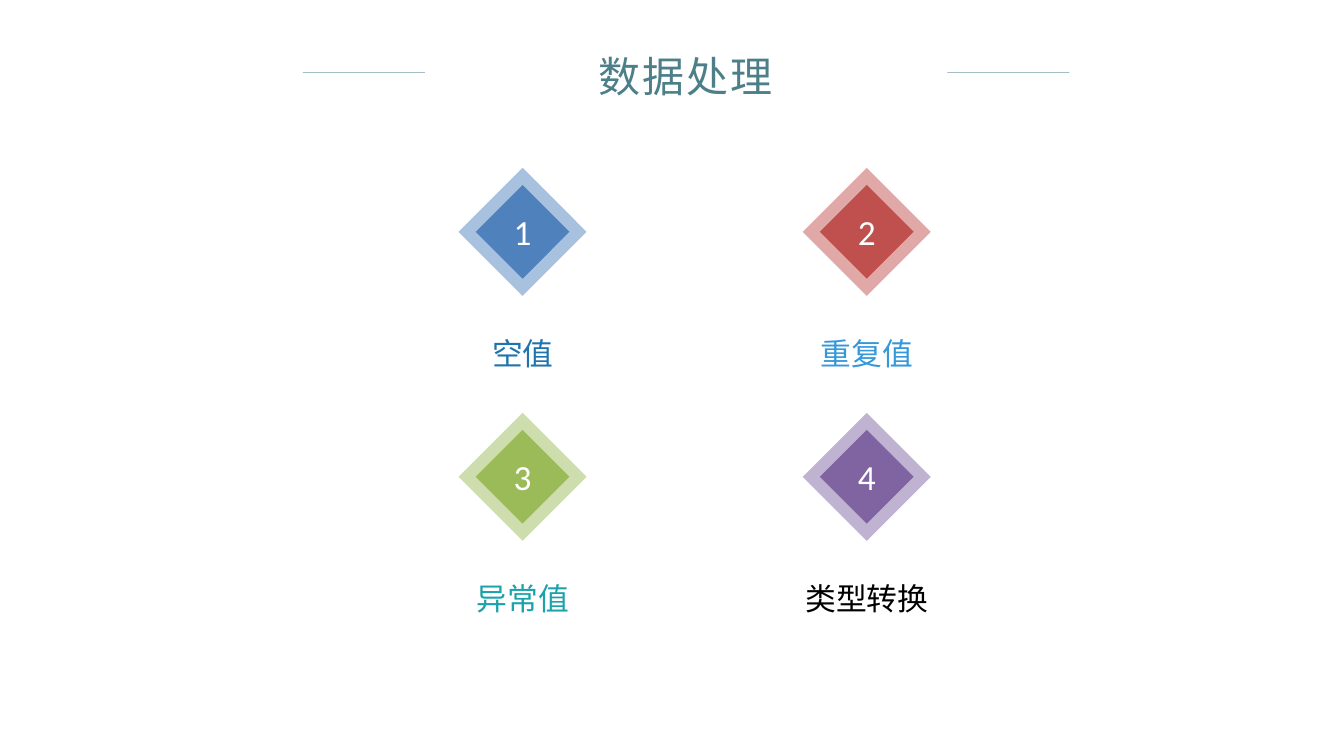
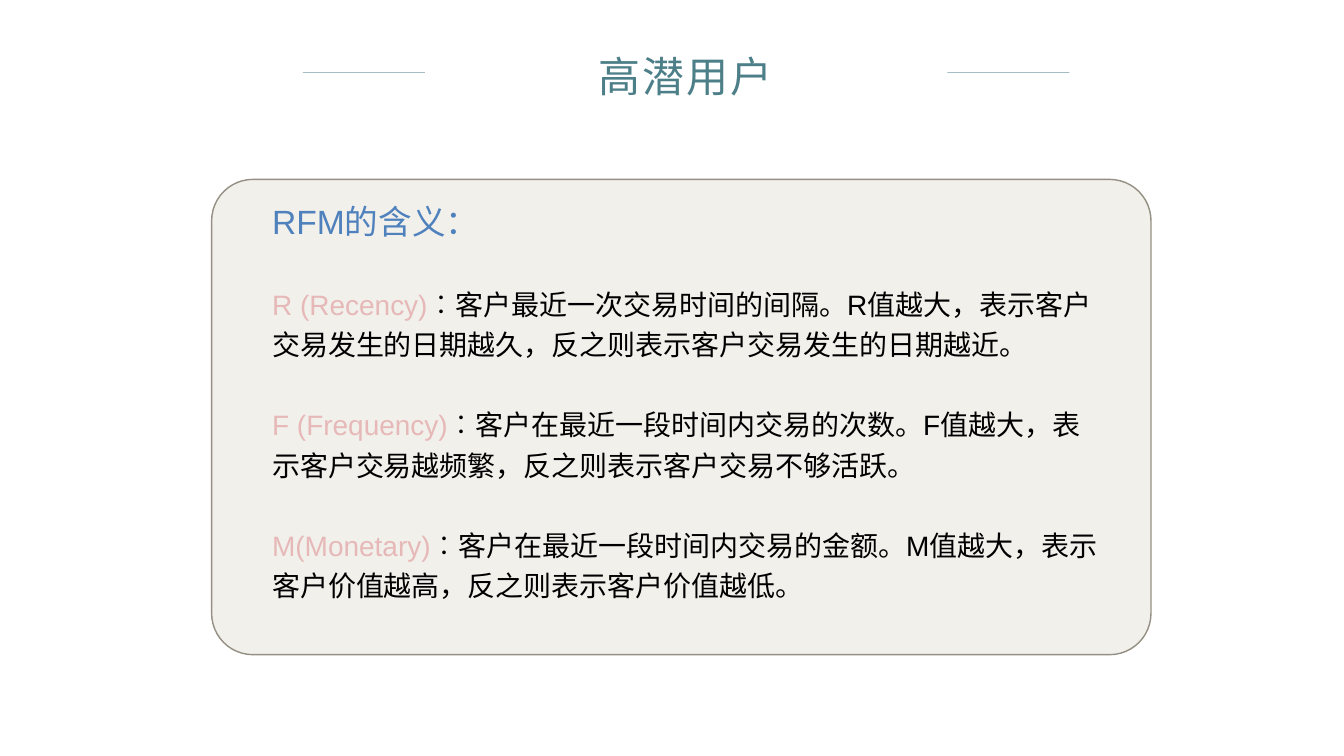
from lxml import etree
from pptx import Presentation
from pptx.dml.color import RGBColor
from pptx.enum.shapes import MSO_CONNECTOR, MSO_SHAPE
from pptx.enum.text import MSO_ANCHOR, MSO_AUTO_SIZE, PP_ALIGN
from pptx.oxml.ns import qn
from pptx.util import Inches, Pt

STRAIGHT = MSO_CONNECTOR.STRAIGHT
DIAMOND, ROUNDED = MSO_SHAPE.DIAMOND, MSO_SHAPE.ROUNDED_RECTANGLE
CENTER = PP_ALIGN.CENTER
TOP, MIDDLE = MSO_ANCHOR.TOP, MSO_ANCHOR.MIDDLE
GROW = MSO_AUTO_SIZE.SHAPE_TO_FIT_TEXT

THEME = {
    "title": "4D7F89", "title_end": "A2633C", "white": "FFFFFF", "black": "000000",
    "panel": "F1F0EB", "panel_line": "959083",
    "heading": "4F81BD", "term": "E6B9B8", "term_outline": "C0504D",
    "cjk_font": "Noto Sans CJK SC", "latin_font": "Arial", "number_font": "Calibri",
    "title_size": 60, "number_size": 50.4, "label_size": 44,
    "heading_size": 48, "body_size": 40,
}
TITLE_ONLY, TITLE_AND_CONTENT = 5, 1


def rgb(name):
    """Colour from a theme name or a hex value."""
    return RGBColor.from_string(THEME.get(name, name))


def set_font(font, face, size, color=None):
    font.name = THEME[face]
    font.size = Pt(THEME[size])
    if color:
        font.color.rgb = rgb(color)
    etree.SubElement(font._element, qn("a:ea"), typeface=THEME["cjk_font"])


presentation = Presentation()
presentation.slide_width = Inches(26.67)
presentation.slide_height = Inches(15)

# Shared title band
slides = []
for title_text, layout, face in [
    ("数据处理", TITLE_ONLY, "cjk_font"),
    ("高潜用户", TITLE_AND_CONTENT, "latin_font"),
]:
    slide = presentation.slides.add_slide(presentation.slide_layouts[layout])
    slides.append(slide)

    for rule_left in (6.01, 18.8):
        rule = slide.shapes.add_connector(
            STRAIGHT, Inches(rule_left), Inches(1.44), Inches(rule_left + 2.42), Inches(1.44))
        rule.line.width = Pt(1)
        rule.line.color.rgb = rgb("title")
        color = rule._element.find(".//" + qn("a:srgbClr"))
        etree.SubElement(color, qn("a:alpha"), val="50000")
        etree.SubElement(rule._element.spPr, qn("a:effectLst"))

    title = slide.shapes.title
    title.left, title.top = Inches(8.5), Inches(0.95)
    title.width, title.height = Inches(10.22), Inches(1.11)
    frame = title.text_frame
    frame.text = title_text
    frame.word_wrap = True
    frame.auto_size = GROW
    frame.vertical_anchor = MIDDLE
    frame.margin_top = frame.margin_bottom = 0
    paragraph = frame.paragraphs[0]
    paragraph.alignment = CENTER
    set_font(paragraph.font, face, "title_size")
    fill = paragraph.font.fill
    fill.gradient()
    fill.gradient_angle = 0
    for stop, name in zip(fill.gradient_stops, ("title", "title_end")):
        stop.color.rgb = rgb(name)
    paragraph.font._element.set("spc", "300")

processing_slide, users_slide = slides

# Data processing: two by two numbered diamonds with labels
STEPS = [
    ("空值", "4F81BD", "1F74AD"),
    ("重复值", "C0504D", "3498DB"),
    ("异常值", "9BBB59", "1AA3AA"),
    ("类型转换", "8064A2", "black"),
]
OUTER, INNER = 2.54, 1.86
INSET = (OUTER - INNER) / 2

for index, (label_text, diamond_color, label_color) in enumerate(STEPS):
    row, column = divmod(index, 2)
    left = 9.1 + 6.83 * column
    top = 3.33 + 4.86 * row

    for inset, size in ((0, OUTER), (INSET, INNER)):
        diamond = processing_slide.shapes.add_shape(
            DIAMOND, Inches(left + inset), Inches(top + inset), Inches(size), Inches(size))
        diamond.shadow.inherit = False
        diamond.fill.solid()
        diamond.fill.fore_color.rgb = rgb(diamond_color)
        diamond.line.fill.background()
        if size == OUTER:
            color = diamond._element.spPr.find(".//" + qn("a:srgbClr"))
            etree.SubElement(color, qn("a:alpha"), val="49000")

    label = processing_slide.shapes.add_textbox(
        Inches(left - 0.7), Inches(top + 2.72), Inches(3.95), Inches(1.7))
    label.text_frame.word_wrap = True

    for shape, text, face, size, color in [
        (diamond, str(index + 1), "number_font", "number_size", "white"),
        (label, label_text, "cjk_font", "label_size", label_color),
    ]:
        frame = shape.text_frame
        frame.text = text
        frame.vertical_anchor = MIDDLE
        frame.paragraphs[0].alignment = CENTER
        set_font(frame.paragraphs[0].font, face, size, color)

    frame = diamond.text_frame
    frame.margin_left = frame.margin_right = frame.margin_top = frame.margin_bottom = 0
    label.text_frame.paragraphs[0].line_spacing = 1.3

# High-potential users: meaning of RFM on a rounded panel
DEFINITIONS = [
    ("R (Recency)", "︰客户最近一次交易时间的间隔。R值越大，表示客户交易发生的日期越久，反之则表示客户交易发生的日期越近。"),
    ("F (Frequency)", "︰客户在最近一段时间内交易的次数。F值越大，表示客户交易越频繁，反之则表示客户交易不够活跃。"),
    ("M(Monetary)", "︰客户在最近一段时间内交易的金额。M值越大，表示客户价值越高，反之则表示客户价值越低。"),
]

panel = users_slide.shapes.add_shape(
    ROUNDED, Inches(4.2), Inches(3.56), Inches(18.64), Inches(9.43))
panel.adjustments[0] = 0.087
panel.shadow.inherit = False
panel.fill.solid()
panel.fill.fore_color.rgb = rgb("panel")
panel.line.color.rgb = rgb("panel_line")
panel.line.width = Pt(2)

body = users_slide.placeholders[1]
body.left, body.top = Inches(5.3), Inches(3.77)
body.width, body.height = Inches(16.65), Inches(8.34)
# Placeholders come first in the drawing order, so the panel goes behind them
users_slide.shapes._spTree.insert(2, panel._element)

frame = body.text_frame
frame.word_wrap = True
frame.auto_size = GROW
frame.vertical_anchor = TOP
heading = frame.paragraphs[0]
heading.text = "RFM的含义："
heading.line_spacing = Pt(69)
heading.space_before = Pt(0)
set_font(heading.font, "latin_font", "heading_size", "heading")

for term, meaning in DEFINITIONS:
    paragraph = frame.add_paragraph()
    paragraph.line_spacing = Pt(57.6)
    paragraph.space_before = Pt(57)
    set_font(paragraph.font, "latin_font", "body_size", "black")
    term_run = paragraph.add_run()
    term_run.text = term
    term_run.font.color.rgb = rgb("term")
    outline = etree.Element(qn("a:ln"), w=str(Pt(1.75)))
    outline_fill = etree.SubElement(outline, qn("a:solidFill"))
    etree.SubElement(outline_fill, qn("a:srgbClr"), val=THEME["term_outline"])
    term_run.font._element.insert(0, outline)
    paragraph.add_run().text = meaning

for paragraph in frame.paragraphs:
    properties = paragraph._p.get_or_add_pPr()
    properties.set("marL", "0")
    properties.set("indent", "0")
    properties.find(qn("a:defRPr")).addprevious(etree.Element(qn("a:buNone")))

presentation.save("out.pptx")
